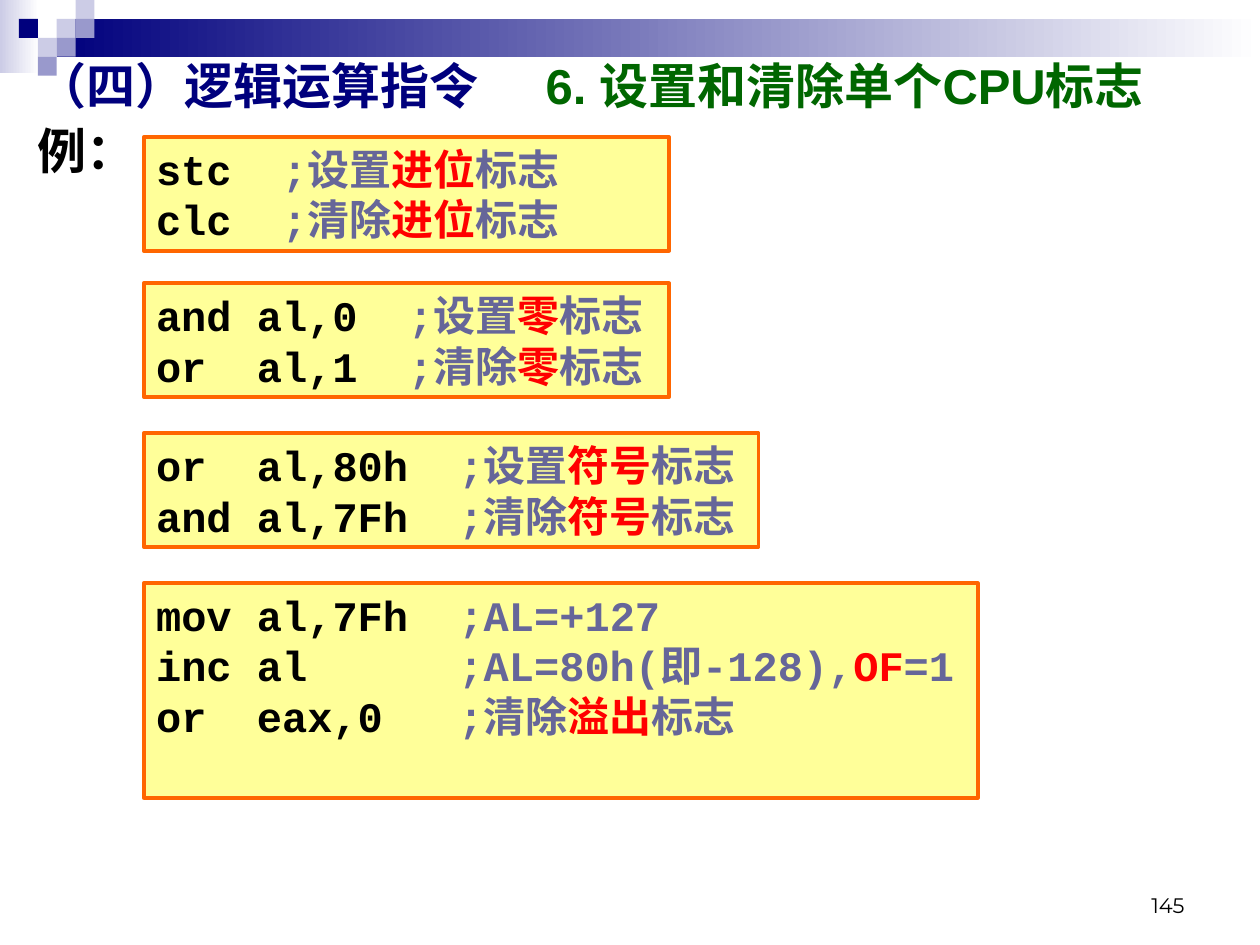
from dataclasses import dataclass
from pptx import Presentation
from pptx.dml.color import RGBColor
from pptx.enum.shapes import MSO_SHAPE
from pptx.enum.text import MSO_ANCHOR, PP_ALIGN
from pptx.oxml.ns import qn
from pptx.util import Emu, Inches, Pt

NAVY, GREEN, INK, NOTE, HOT = "00007D", "006600", "000000", "666699", "FF0000"
PALE, MID, WHITE = "CCCCE6", "9999CC", "FFFFFF"
CREAM, ORANGE = "FFFF99", "FF6600"
COL, ROW = 1.5, 2  # one square of the corner pattern, in percent of the slide
CODE = {"name": "Courier New", "size": Pt(24), "bold": True}
HEAD = {"name": "Arial", "size": Pt(28), "bold": True}
LABEL = {"name": "Times New Roman", "size": Pt(28), "bold": True}
PAGE = {"name": "Montserrat", "size": Pt(12), "bold": False}

prs = Presentation()
prs.slide_width, prs.slide_height = Inches(10), Inches(7.5)
slide = prs.slides.add_slide(prs.slide_layouts[5])


@dataclass
class Area:
    """A rectangle in percent of the slide's width and height."""
    left: float
    top: float
    width: float
    height: float

    def emu(self) -> list[Emu]:
        wide, high = prs.slide_width, prs.slide_height
        pairs = zip((self.left, self.top, self.width, self.height), (wide, high) * 2)
        return [Emu(round(side * part / 100)) for part, side in pairs]


@dataclass
class Block:
    area: Area
    lines: list[tuple[str, ...]]


def rgb(code: str) -> RGBColor:
    return RGBColor.from_string(code)


def rect(area: Area, *fill: str):
    """Draw a plain rectangle; two fill colours make a left-to-right gradient."""
    shape = slide.shapes.add_shape(MSO_SHAPE.RECTANGLE, *area.emu())
    shape.shadow.inherit = False
    shape.line.fill.background()
    if len(fill) == 1:
        shape.fill.solid()
        shape.fill.fore_color.rgb = rgb(fill[0])
    else:
        shape.fill.gradient()
        shape.fill.gradient_angle = 0
        for stop, code in zip(shape.fill.gradient_stops, fill):
            stop.color.rgb = rgb(code)
    return shape


def set_tabs(para, stops: list[float]) -> None:
    tabs = para._p.get_or_add_pPr().makeelement(qn("a:tabLst"), {})
    for stop in stops:
        tabs.append(tabs.makeelement(qn("a:tab"), {"pos": str(Inches(stop)), "algn": "l"}))
    para._p.get_or_add_pPr().append(tabs)


def write(para, parts: tuple[str, ...], colours: tuple[str, ...], style: dict) -> None:
    for text, code in zip(parts, colours):
        run = para.add_run()
        run.text = text
        for key, value in style.items():
            setattr(run.font, key, value)
        run.font.color.rgb = rgb(code)


def set_frame(shape, anchor: MSO_ANCHOR, align: PP_ALIGN = PP_ALIGN.LEFT):
    """Wrap and anchor the shape's text, and return its first paragraph."""
    frame = shape.text_frame
    frame.word_wrap = True
    frame.vertical_anchor = anchor
    frame.paragraphs[0].alignment = align
    return frame.paragraphs[0]


def label(area: Area, text: str, style: dict, anchor: MSO_ANCHOR, align: PP_ALIGN) -> None:
    box = slide.shapes.add_textbox(*area.emu())
    write(set_frame(box, anchor, align), (text,), (INK,), style)


def draw_block(block: Block) -> None:
    shape = rect(block.area, CREAM)
    shape.line.color.rgb = rgb(ORANGE)
    shape.line.width = Pt(2.25)
    para = set_frame(shape, MSO_ANCHOR.TOP)
    for row, parts in enumerate(block.lines):
        if row:
            para = shape.text_frame.add_paragraph()
            para.alignment = PP_ALIGN.LEFT
        set_tabs(para, list(range(8)))
        write(para, parts, (INK, NOTE, HOT, NOTE), CODE)


def pair(flag: str, first: str, second: str) -> list[tuple[str, ...]]:
    """Two code lines: one sets the flag, the next clears it."""
    return [(first, ";设置", flag, "标志"), (second, ";清除", flag, "标志")]


SQUARES = [(3, 1, PALE), (4, 0, PALE), (4, 1, MID), (2, 2, PALE),
           (1, 1, NAVY), (3, 2, MID), (2, 3, MID)]
BLOCKS = [
    Block(Area(11.4, 14.53, 41.7, 12), pair("进位", "stc\t", "clc\t")),
    Block(Area(11.4, 30, 41.7, 12), pair("零", "and al,0\t", "or  al,1\t")),
    Block(Area(11.4, 45.87, 48.8, 12), pair("符号", "or  al,80h  ", "and al,7Fh  ")),
    Block(Area(11.4, 61.73, 66.2, 22.67), [
        ("mov al,7Fh  ", ";AL=+127"),
        ("inc al\t  ", ";AL=80h(即-128),", "OF", "=1"),
        ("or  eax,0\t  ", ";清除", "溢出", "标志"),
    ]),
]

rect(Area(0, 0, 3.1, 7.73), PALE, WHITE)
rect(Area(3 * COL, ROW, 100 - 3 * COL, 2 * ROW), NAVY, WHITE)
for col, row, code in SQUARES:
    rect(Area(col * COL, row * ROW, COL, ROW), code)

label(Area(71.7, 91.07, 23.3, 6.67), "145", PAGE, MSO_ANCHOR.BOTTOM, PP_ALIGN.RIGHT)
label(Area(2, 12.13, 96.1, 8.4), "例：", LABEL, MSO_ANCHOR.TOP, PP_ALIGN.LEFT)

title = slide.shapes.title
title.left, title.top, title.width, title.height = Area(2, 4.8, 96.1, 8.4).emu()
heading = set_frame(title, MSO_ANCHOR.MIDDLE)
set_tabs(heading, [4.03])
write(heading, ("（四）逻辑运算指令\t", "6. 设置和清除单个CPU标志"), (NAVY, GREEN), HEAD)
# The title is moved in front of the corner pattern.
slide.shapes._spTree.append(title._element)

for block in BLOCKS:
    draw_block(block)

prs.save("out.pptx")
